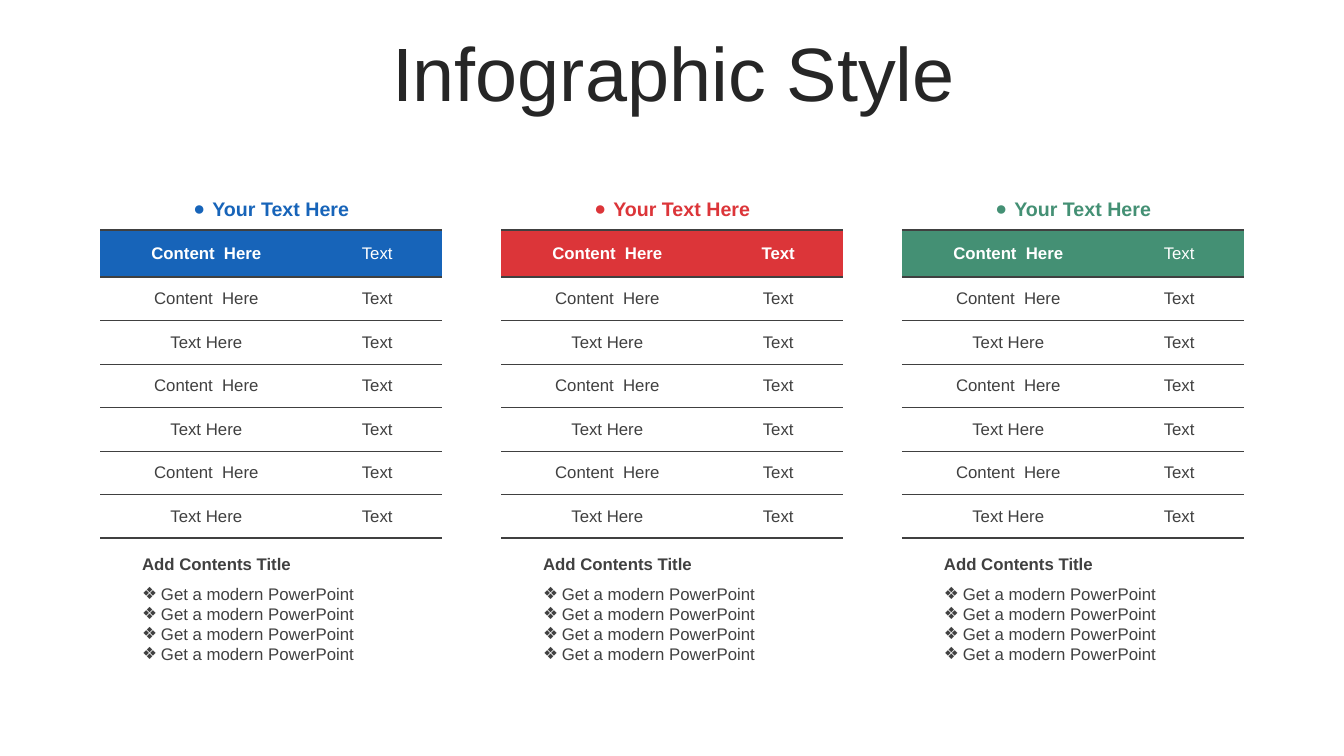
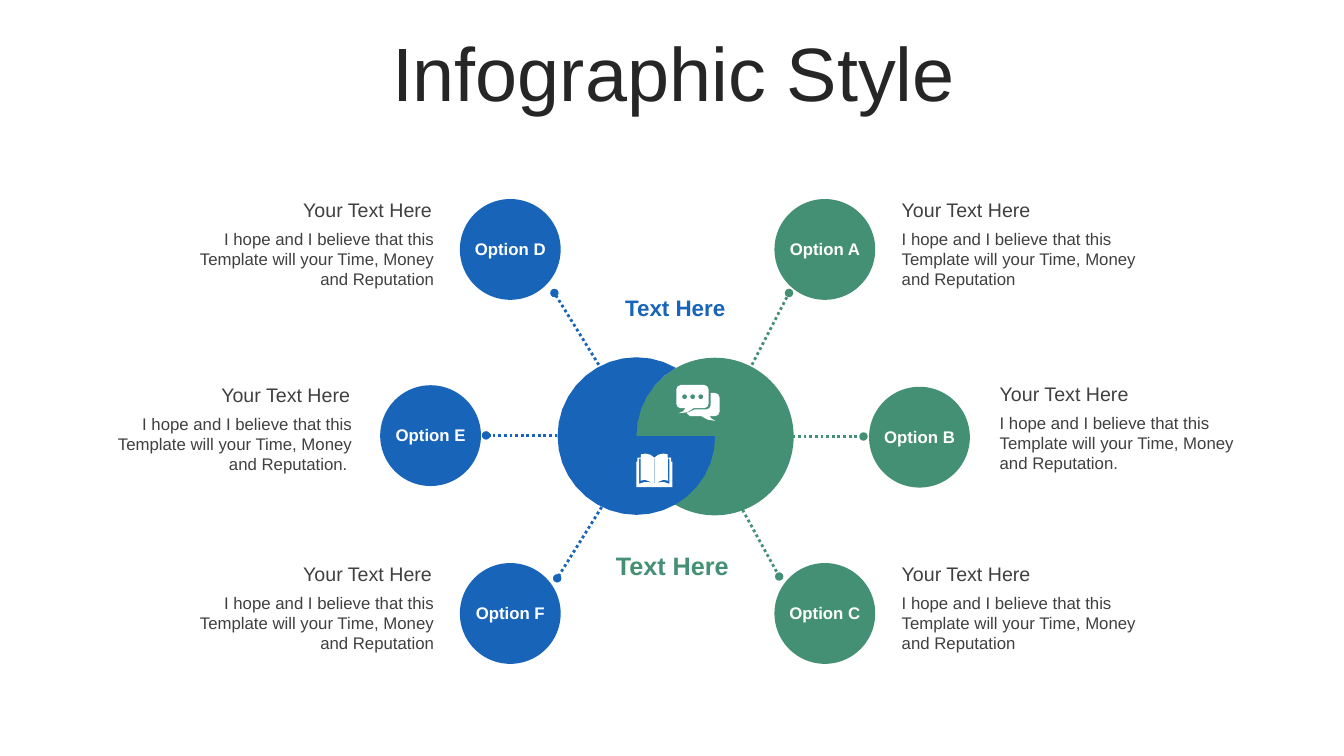
from dataclasses import dataclass
from math import cos, radians, sin

from lxml.etree import SubElement
from pptx import Presentation
from pptx.dml.color import RGBColor
from pptx.enum.dml import MSO_LINE as Dash
from pptx.enum.shapes import MSO_CONNECTOR as Link, MSO_SHAPE as Shape
from pptx.enum.text import MSO_ANCHOR as Anchor, PP_ALIGN as Align
from pptx.oxml.ns import qn
from pptx.util import Pt

FONT = "Arial"
BLUE, RED, GREEN = "1764B9", "DC3539", "449074"
INK, DARK, WHITE = "404040", "262626", "FFFFFF"

Point = tuple[float, float]


@dataclass
class Panel:
    color: str
    bold: bool  # weight of the second header cell


@dataclass
class Option:
    name: str
    color: str
    disc: Point
    note: Point
    width: float
    align: Align
    start: Point
    end: Point
    close: str = ""


PANELS = [Panel(BLUE, False), Panel(RED, True), Panel(GREEN, False)]
PITCH = 286.4
ROWS = [("Content  Here", "Text"), *[("Content  Here", "Text"), ("Text Here", "Text")] * 3]

L, R = Align.LEFT, Align.RIGHT
OPTIONS = [
    Option("Option A", GREEN, (553.2, 142.2), (637, 137.5), 185.8, L, (537.1, 260.6), (563.6, 209.3)),
    Option("Option B", GREEN, (620.8, 276.3), (707, 269.1), 184.3, L, (566, 311.8), (616.8, 311.8), "."),
    Option("Option C", GREEN, (553.2, 402.2), (637, 397.7), 185.8, L, (528.5, 360.7), (556.6, 411.8)),
    Option("Option D", BLUE, (328.5, 142.2), (131.4, 137.5), 185.8, R, (427.7, 260.6), (396, 209.3)),
    Option("Option E", BLUE, (271.6, 275.2), (74.4, 269.7), 184.3, R, (398.2, 311), (347.2, 311), ". "),
    Option("Option F", BLUE, (328.5, 402.2), (131.4, 397.7), 185.8, R, (429.8, 362.2), (398, 413.1)),
]


def paint(fill, color: str) -> None:
    fill.solid()
    fill.fore_color.rgb = RGBColor.from_string(color)


def write(frame, text: str, *, size: float = 12, color: str = INK, bold: bool = False,
          align: Align = L, bullet: str = "", lead: float | None = None,
          before: float | None = None) -> None:
    """Fill a text frame, one paragraph for each line of text."""
    for i, line in enumerate(text.split("\n")):
        para = frame.add_paragraph() if i else frame.paragraphs[0]
        para.alignment = align
        if lead:
            para.line_spacing = lead
        if before:
            para.space_before = Pt(before)
        run = para.add_run()
        run.text = line
        run.font.name, run.font.size, run.font.bold = FONT, Pt(size), bold
        run.font.color.rgb = RGBColor.from_string(color)
        if bullet:
            props = para._p.get_or_add_pPr()
            props.set("marL", str(Pt(13.5)))
            props.set("indent", str(-Pt(13.5)))
            SubElement(props, qn("a:buFont"), typeface=FONT)
            SubElement(props, qn("a:buChar"), char=bullet)


def label(slide, text: str, x: float, y: float, w: float, h: float, *,
          anchor: Anchor = Anchor.TOP, **style) -> None:
    frame = slide.shapes.add_textbox(Pt(x), Pt(y), Pt(w), Pt(h)).text_frame
    frame.word_wrap = True
    frame.vertical_anchor = anchor
    write(frame, text, **style)


def finish(shape, color: str) -> None:
    """Give a shape a flat fill with no line or shadow."""
    shape.shadow.inherit = False
    paint(shape.fill, color)
    shape.line.fill.background()


def start_slide(deck):
    slide = deck.slides.add_slide(deck.slide_layouts[6])
    label(slide, "Infographic Style", 25.4, 26.6, 911.5, 56.9, anchor=Anchor.MIDDLE,
          size=54, color=DARK, align=Align.CENTER, lead=0.9, before=10)
    return slide


def edge(cell, rank: int, tag: str, width: float) -> None:
    """Draw one cell border; zero width hides it."""
    props = cell._tc.get_or_add_tcPr()
    line = SubElement(props, qn(f"a:{tag}"), w=str(Pt(width)))
    if width:
        SubElement(SubElement(line, qn("a:solidFill")), qn("a:srgbClr"), val=INK)
    else:
        SubElement(line, qn("a:noFill"))
    props.insert(rank, line)


def add_grid(slide, x: float, panel: Panel) -> None:
    last = len(ROWS) - 1
    table = slide.shapes.add_table(len(ROWS), 2, Pt(x), Pt(164.2), Pt(244.1), Pt(220.4)).table
    table.first_row = table.horz_banding = False
    for col, width in zip(table.columns, (151.9, 92.2)):
        col.width = Pt(width)
    for r, texts in enumerate(ROWS):
        head = r == 0
        table.rows[r].height = Pt(33.8 if head else 31.1)
        top = 1.5 if r <= 1 else 1
        base = 1.5 if r in (0, last) else 1
        for c, text in enumerate(texts):
            cell = table.cell(r, c)
            cell.vertical_anchor = Anchor.MIDDLE
            paint(cell.fill, panel.color if head else WHITE)
            for rank, (tag, width) in enumerate(
                    [("lnL", 0), ("lnR", 0), ("lnT", top), ("lnB", base)]):
                edge(cell, rank, tag, width)
            write(cell.text_frame, text, color=WHITE if head else INK,
                  bold=head and (c == 0 or panel.bold), align=Align.CENTER)


def add_panel(slide, shift: float, panel: Panel) -> None:
    label(slide, "Your Text Here", 104.5 + shift, 136.8, 178.6, 24.2, size=14,
          color=panel.color, bold=True, align=Align.CENTER, bullet="●")
    add_grid(slide, 71.5 + shift, panel)
    label(slide, "Add Contents Title", 94.4 + shift, 392, 198, 21.6, bold=True)
    label(slide, "\n".join(["Get a modern PowerPoint"] * 4), 94.4 + shift, 413.3, 198, 65.4,
          bullet="❖")


def arc(x: float, y: float, r: float, a: float, b: float, steps: int = 2) -> list[Point]:
    """Points on a circle from angle a to angle b, clockwise from the right."""
    turns = [radians(a + (b - a) * i / steps) for i in range(steps + 1)]
    return [(x + r * cos(t), y + r * sin(t)) for t in turns]


def flip(points: list[Point], axis: float) -> list[Point]:
    """Mirror points left to right, in reverse order."""
    return [(2 * axis - x, y) for x, y in reversed(points)]


def outline(slide, loops: list[list[Point]], color: str) -> None:
    """Draw closed loops as one shape; inner loops are holes."""
    sets = [[(Pt(x), Pt(y)) for x, y in loop] for loop in loops]
    build = slide.shapes.build_freeform(*sets[0][0])
    for i, loop in enumerate(sets):
        if i:
            build.move_to(*loop[0])
        build.add_line_segments(loop[1:], close=True)
    finish(build.convert_to_shape(), color)


def add_core(slide) -> None:
    """Draw the two interlocked discs."""
    r, y, left = 56.3, 311.5, 454.6
    right = left + r
    pie = slide.shapes.add_shape(Shape.PIE, Pt(454.3), Pt(255.5), Pt(2 * r), Pt(2 * r))
    pie.rotation = 180
    pie.adjustments[0], pie.adjustments[1] = 0, 180.48
    finish(pie, GREEN)
    outline(slide, [arc(left, y, r, 0, 300, 30) + arc(right, y, r, 240, 180, 6)], BLUE)


def add_book(slide) -> None:
    axis = 467.4
    cover = [(454.5, 348), (454.5, 329.8), (455.3, 329.8), (455.3, 326.9), (457.9, 326.9),
             (457.9, 324.5), (461.2, 324), (464.6, 324.8), (axis, 326.9)]
    page = [(456.6, 327.6), (456.6, 345.6), (460.5, 344.3), (464, 344.5), (467, 345.9),
            (463.5, 343.7), (460.5, 342.7), (457.6, 343.4), (457.7, 327.6)]
    spine = [(axis - 0.2, 327.6), (axis + 0.2, 327.6), (axis + 0.2, 345), (axis - 0.2, 345)]
    outline(slide, [cover + flip(cover[:-1], axis), page, flip(page, axis), spine], WHITE)


def add_chat(slide) -> None:
    r = 3.2
    front = (arc(486.3, 278.2, r, 180, 270) + arc(503, 278.2, r, 270, 360)
             + arc(503, 288.4, r, 0, 90)
             + [(495.4, 291.6), (491, 294.5), (484.6, 295.2), (488, 293.8), (489.6, 291.6)]
             + arc(486.3, 288.4, r, 90, 180))
    back = ([(507.7, 280.7)] + arc(510.8, 283.9, r, 270, 360) + arc(510.8, 294.1, r, 0, 90)
            + [(507, 297.3), (508.2, 299), (511, 300.6), (505.5, 299.8), (501, 297.3),
               (493, 297.3), (490.5, 295.2), (496, 292.5)]
            + arc(504.5, 289.3, r, 90, 0))
    dots = [arc(494.8 + 5.8 * i, 283.4, 1.8, 0, 315, 7) for i in (-1, 0, 1)]
    outline(slide, [front, back, *dots], WHITE)


def add_link(slide, start: Point, end: Point, color: str) -> None:
    link = slide.shapes.add_connector(Link.STRAIGHT, *map(Pt, start + end))
    paint(link.line.fill, color)
    link.line.width = Pt(2)
    link.line.dash_style = Dash.ROUND_DOT
    SubElement(link.line._get_or_add_ln(), qn("a:tailEnd"), type="oval")
    SubElement(link._element.spPr, qn("a:effectLst"))


def add_option(slide, item: Option) -> None:
    x, y = item.disc
    disc = slide.shapes.add_shape(Shape.OVAL, Pt(x), Pt(y), Pt(72), Pt(72))
    finish(disc, item.color)
    label(slide, item.name, x + 2.2, y + 25, 67.7, 21.6, color=WHITE, bold=True,
          align=Align.CENTER)
    add_link(slide, item.start, item.end, item.color)
    x, y = item.note
    label(slide, "I hope and I believe that this Template will your Time, Money and Reputation"
          + item.close, x, y + 22.2, item.width, 50.9, align=item.align)
    label(slide, "Your Text Here", x, y, item.width - 1.5, 24.2, size=14, align=item.align)


def main() -> None:
    deck = Presentation()
    deck.slide_width, deck.slide_height = Pt(960), Pt(540)

    slide = start_slide(deck)
    for i, panel in enumerate(PANELS):
        add_panel(slide, i * PITCH, panel)

    slide = start_slide(deck)
    add_core(slide)
    for item in OPTIONS:
        add_option(slide, item)
    label(slide, "Text Here", 436.2, 206.3, 92.2, 26.6, size=16, color=BLUE, bold=True,
          align=Align.CENTER)
    label(slide, "Text Here", 431.6, 389.5, 97.2, 28.8, size=18, color=GREEN, bold=True,
          align=Align.CENTER)
    add_book(slide)
    add_chat(slide)

    deck.save("out.pptx")


if __name__ == "__main__":
    main()
